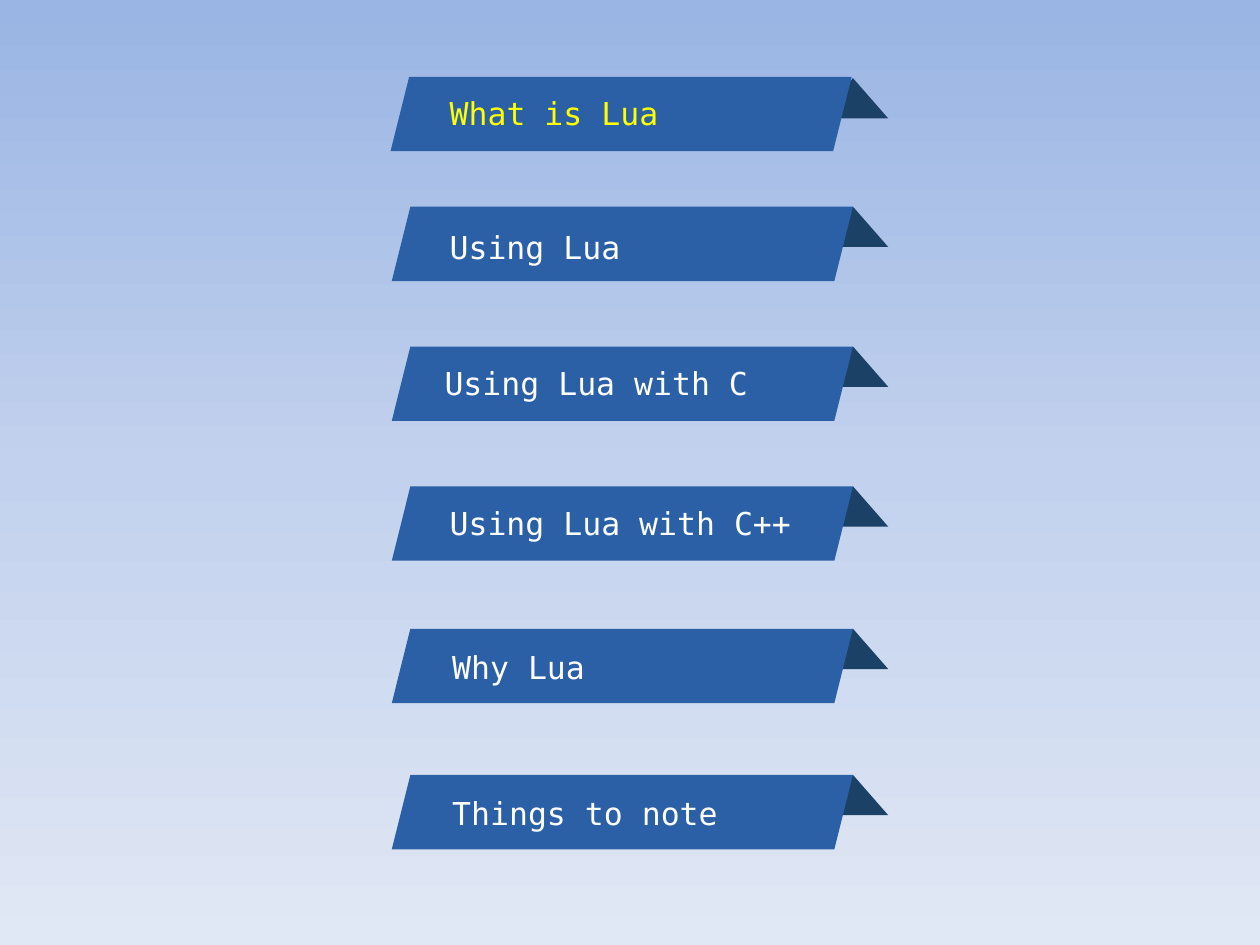
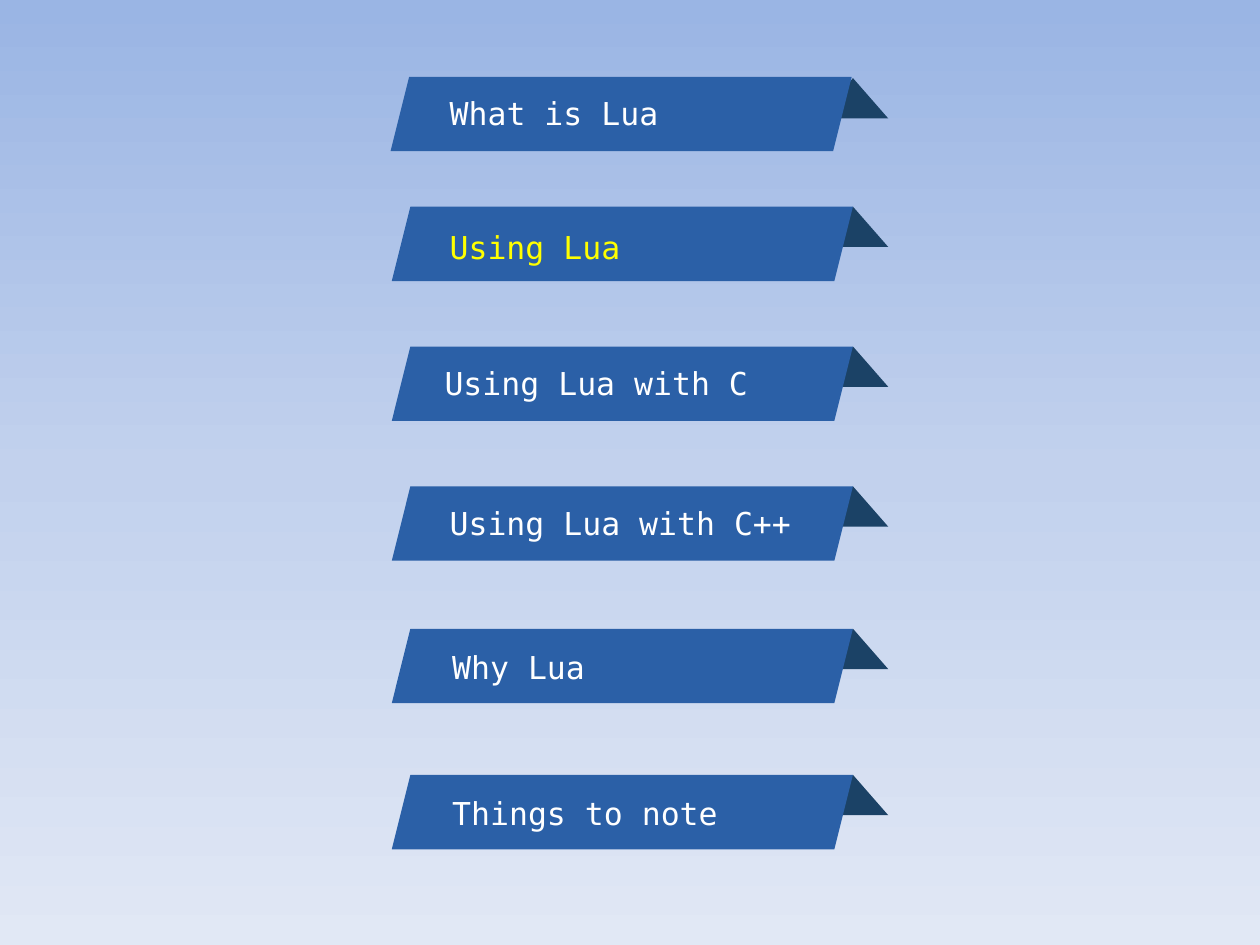
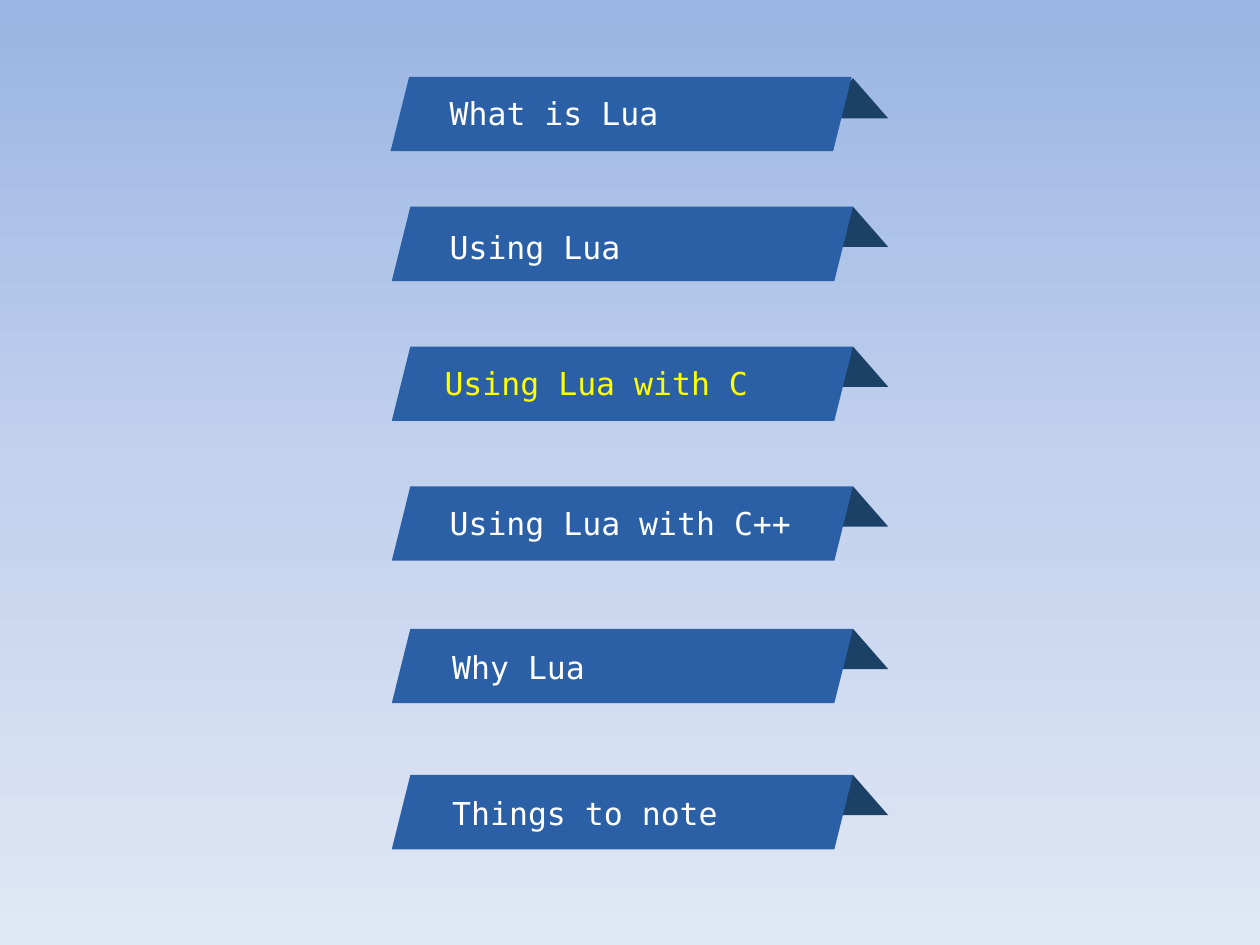
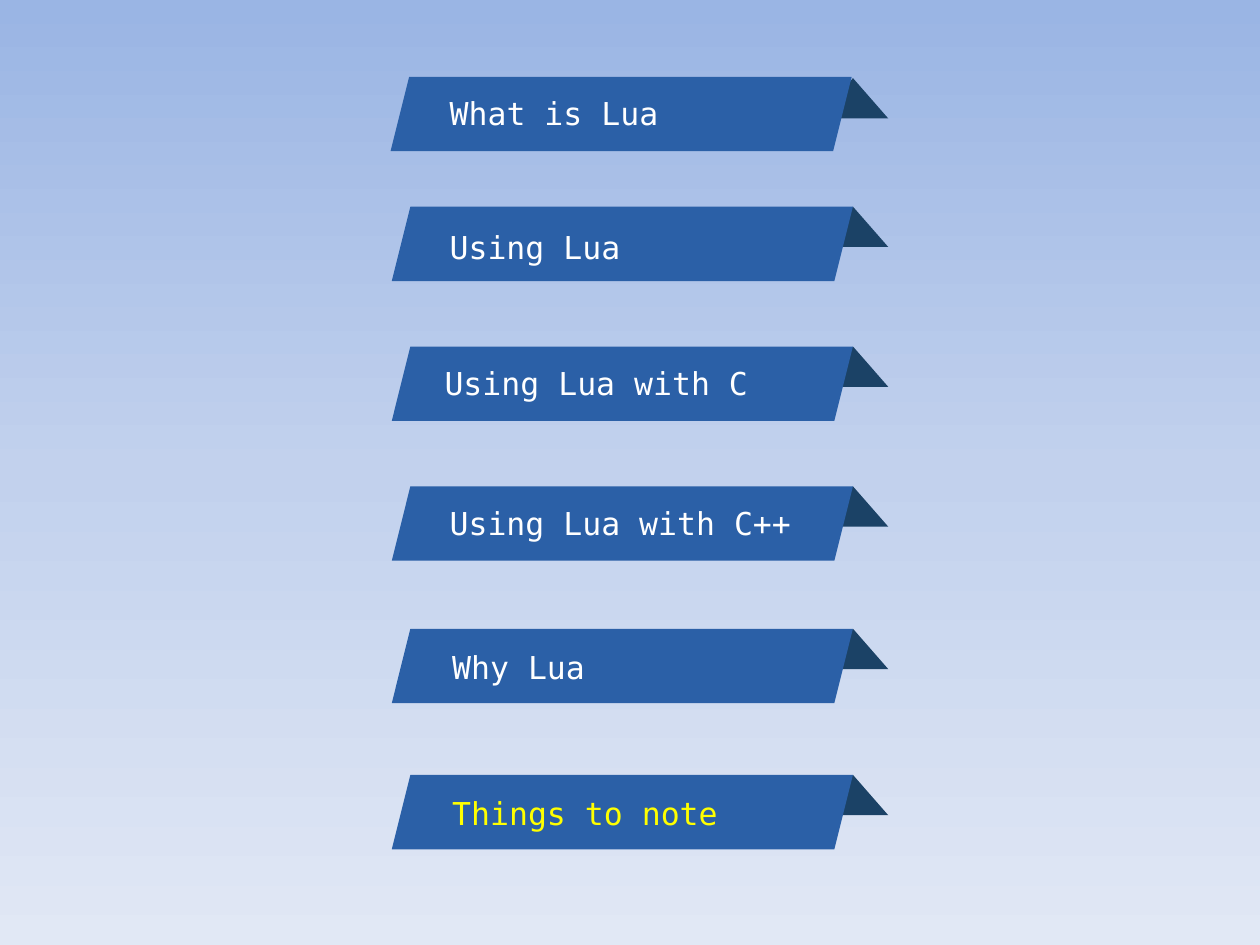
from copy import deepcopy
from dataclasses import dataclass

from pptx import Presentation, util as u
from pptx.dml.color import RGBColor
from pptx.enum import shapes, text
from pptx.oxml.ns import qn

# Agenda: label, fold top, banner (left, top), label (left, top)
AGENDA = [
    ("What is Lua", 0.62, (3.10, 0.61), (3.47, 0.70)),
    ("Using Lua", 1.64, (3.11, 1.64), (3.47, 1.76)),
    ("Using Lua with C", 2.75, (3.11, 2.75), (3.43, 2.84)),
    ("Using Lua with C++", 3.86, (3.11, 3.86), (3.47, 3.95)),
    ("Why Lua", 4.99, (3.11, 4.99), (3.49, 5.09)),
    ("Things to note", 6.15, (3.11, 6.15), (3.49, 6.25)),
]
# The topic highlighted on each slide
CURRENT = ["What is Lua", "Using Lua", "Using Lua with C", "Things to note"]

BANNER_SIZE = (3.66, 0.59)
FOLD_LEFT, FOLD_SIZE = 6.49, (0.56, 0.32)
LABEL_HEIGHT, LABEL_MARGINS = 0.40, 0.20


@dataclass(frozen=True)
class Theme:
    banner: str = "2B60A7"
    fold: str = "1B4266"
    label: str = "FFFFFF"
    current: str = "FFFF00"
    background: tuple = ((0, "9AB5E4"), (0.5, "C2D1ED"), (1, "E1E8F5"))
    font: str = "DejaVu Sans Mono"
    size: int = 18
    char_ratio: float = 0.61  # character width relative to type size


THEME = Theme()


def rgb(value):
    return RGBColor.from_string(value)


def box(pos, size):
    return [u.Inches(v) for v in (*pos, *size)]


def set_background(master):
    """Vertical three-stop gradient shared by all slides."""
    fill = master.background.fill
    fill.gradient()
    fill.gradient_angle = 270
    stops = master.element.find(".//" + qn("a:gsLst"))
    stops.append(deepcopy(stops[-1]))
    for stop, (position, color) in zip(fill.gradient_stops, THEME.background):
        stop.position = position
        stop.color.rgb = rgb(color)


def add_plain_shape(grp, kind, pos, size, color):
    sp = grp.shapes.add_shape(kind, *box(pos, size))
    sp.shadow.inherit = False
    sp.fill.solid()
    sp.fill.fore_color.rgb = rgb(color)
    sp.line.fill.background()


def add_label(grp, label, pos, color):
    width = LABEL_MARGINS + len(label) * THEME.size * THEME.char_ratio / 72
    sp = grp.shapes.add_textbox(*box(pos, (width, LABEL_HEIGHT)))
    tf = sp.text_frame
    tf.word_wrap = False
    tf.auto_size = text.MSO_AUTO_SIZE.SHAPE_TO_FIT_TEXT
    p = tf.paragraphs[0]
    p.text = label
    p.font.name = THEME.font
    p.font.size = u.Pt(THEME.size)
    p.font.color.rgb = rgb(color)


def add_ribbon(s, label, fold_top, banner_pos, label_pos, color):
    """One grouped agenda entry: fold behind, banner, label."""
    grp = s.shapes.add_group_shape()
    add_plain_shape(grp, shapes.MSO_SHAPE.ISOSCELES_TRIANGLE,
                    (FOLD_LEFT, fold_top), FOLD_SIZE, THEME.fold)
    add_plain_shape(grp, shapes.MSO_SHAPE.PARALLELOGRAM,
                    banner_pos, BANNER_SIZE, THEME.banner)
    add_label(grp, label, label_pos, color)


def main():
    prs = Presentation()
    prs.slide_width, prs.slide_height = u.Inches(10), u.Inches(7.5)
    set_background(prs.slide_master)
    for current in CURRENT:
        s = prs.slides.add_slide(prs.slide_layouts[6])
        for label, *places in AGENDA:
            color = THEME.current if label == current else THEME.label
            add_ribbon(s, label, *places, color)
    prs.save("out.pptx")


if __name__ == "__main__":
    main()
